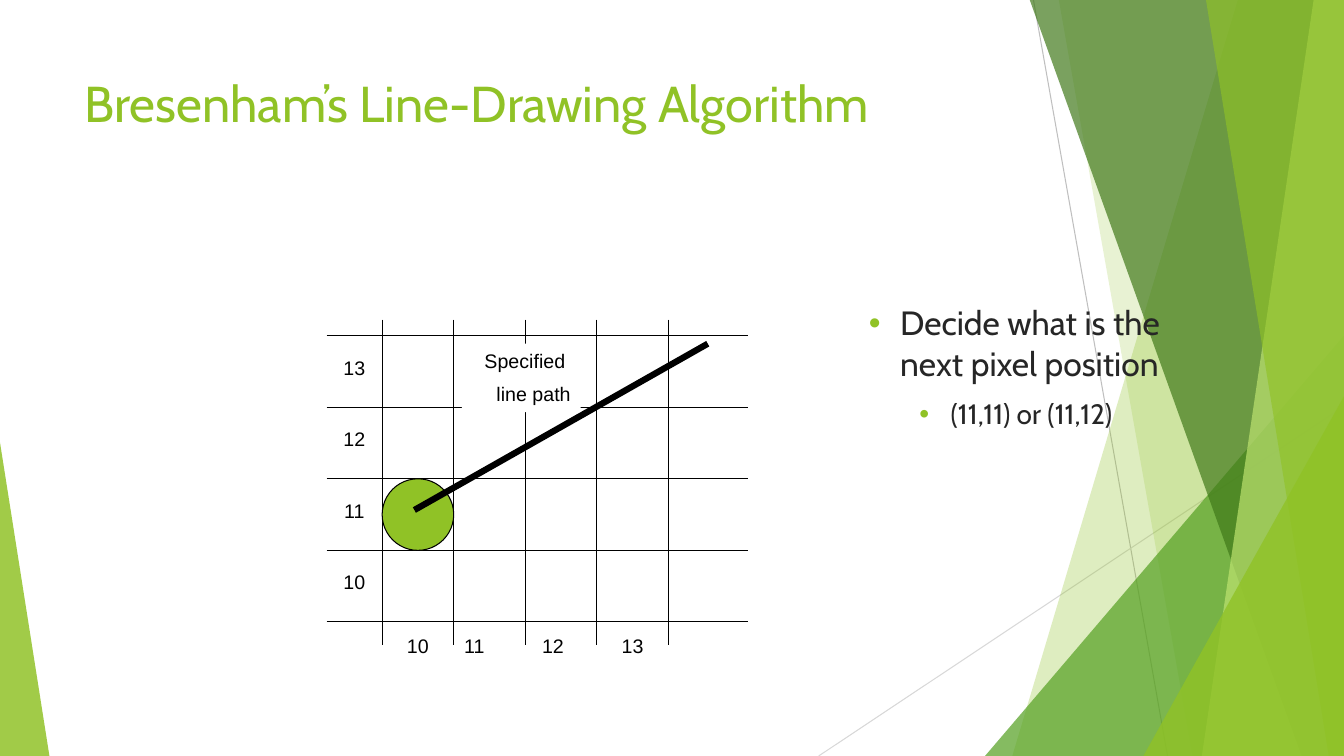
from lxml.etree import SubElement
from pptx import Presentation
from pptx.dml.color import RGBColor
from pptx.enum.shapes import MSO_CONNECTOR, MSO_SHAPE
from pptx.enum.text import MSO_ANCHOR, PP_ALIGN
from pptx.oxml.ns import qn
from pptx.util import Emu, Pt

PX = 9144  # EMU in one px: 100 px to the inch
SLIDE_WIDTH, SLIDE_HEIGHT = 1333, 750

WHITE = RGBColor(0xFF, 0xFF, 0xFF)
BLACK = RGBColor(0x00, 0x00, 0x00)
INK = RGBColor(0x26, 0x26, 0x26)
LIME = RGBColor(0x90, 0xC2, 0x26)
PALE_LIME = RGBColor(0xBF, 0xE4, 0x71)
GREEN = RGBColor(0x54, 0xA0, 0x21)
DARK_GREEN = RGBColor(0x3F, 0x78, 0x18)
GREY = RGBColor(0xBF, 0xBF, 0xBF)
LIGHT_GREY = RGBColor(0xD8, 0xD8, 0xD8)

CELL = 71
GRID_LEFT, GRID_TOP = 379, 333
GRID_LINES = 5
LABEL_HEIGHT = 33
COLUMN_LABELS = [("10", 379), ("11", 435), ("12", 513), ("13", 592)]
ROW_LABELS = ["13", "12", "11", "10"]


def px(*lengths):
    return [Emu(length * PX) for length in lengths]


def paint(shape, color, opacity=100, outline=None):
    """Give a shape a flat fill, with an outline only if a colour is named."""
    shape.shadow.inherit = False
    shape.fill.solid()
    shape.fill.fore_color.rgb = color
    if opacity < 100:
        color_element = shape.fill._xPr.find(qn("a:solidFill"))[0]
        SubElement(color_element, qn("a:alpha"), val=str(opacity * 1000))
    if outline is None:
        shape.line.fill.background()
    else:
        shape.line.color.rgb = outline
        shape.line.width = Pt(0.75)


def add_preset(page, kind, frame, color, **look):
    shape = page.shapes.add_shape(kind, *px(*frame))
    paint(shape, color, **look)
    return shape


def add_triangle(page, frame, apex, color, opacity):
    triangle = add_preset(page, MSO_SHAPE.ISOSCELES_TRIANGLE, frame, color,
                          opacity=opacity)
    triangle.adjustments[0] = apex


def add_band(page, top_left, bottom_left, color, opacity):
    """Draw a band that reaches from a slanted left edge to the slide's right."""
    builder = page.shapes.build_freeform(top_left, -1, scale=PX)
    builder.add_line_segments([(SLIDE_WIDTH, -1), (SLIDE_WIDTH, SLIDE_HEIGHT),
                               (bottom_left, SLIDE_HEIGHT)], close=True)
    paint(builder.convert_to_shape(), color, opacity)


def add_line(page, start, end, color=BLACK, width=0.75):
    line = page.shapes.add_connector(MSO_CONNECTOR.STRAIGHT, *px(*start, *end))
    line.line.color.rgb = color
    line.line.width = Pt(width)
    SubElement(line._element.spPr, qn("a:effectLst"))


def add_bullet(para, indent):
    properties = para._p.get_or_add_pPr()
    properties.set("marL", str(indent * PX))
    properties.set("indent", str(-31 * PX))
    color = SubElement(properties, qn("a:buClr"))
    SubElement(color, qn("a:srgbClr"), val=str(LIME))
    SubElement(properties, qn("a:buFont"), typeface="Arial")
    SubElement(properties, qn("a:buChar"), char="•")


def write(box, text, size=14, font="Arial", color=BLACK, align=PP_ALIGN.LEFT,
          before=0, level=0, bullet_indent=None):
    """Add one paragraph to a box, using its empty first one if there is one."""
    frame = box.text_frame
    frame.word_wrap = True
    frame.vertical_anchor = MSO_ANCHOR.TOP
    first = frame.paragraphs[0]
    para = frame.add_paragraph() if first.runs else first
    para.alignment = align
    para.level = level
    if bullet_indent is not None:
        add_bullet(para, bullet_indent)
    para.space_before = Pt(before)
    span = para.add_run()
    span.text = text
    span.font.size = Pt(size)
    span.font.name = font
    span.font.color.rgb = color


def add_text_box(page, frame):
    return page.shapes.add_textbox(*px(*frame))


def add_label(page, text, left, top):
    box = add_text_box(page, (left, top, CELL, LABEL_HEIGHT))
    write(box, text, align=PP_ALIGN.CENTER)


def draw_background(page):
    add_line(page, (1025, 0), (1158, 750), GREY)
    add_line(page, (1333, 403), (812, 750), LIGHT_GREY)
    add_band(page, 1228, 1004, LIME, 29)
    add_band(page, 1050, 1183, LIME, 20)
    add_triangle(page, (977, 333, 356, 417), 1, GREEN, 71)
    add_band(page, 1021, 1291, DARK_GREEN, 69)
    add_band(page, 1303, 1192, PALE_LIME, 69)
    add_band(page, 1196, 1318, LIME, 64)
    add_triangle(page, (1134, 393, 199, 357), 1, LIME, 80)
    add_triangle(page, (0, 439, 49, 311), 0, LIME, 84)


def draw_pixel_grid(page):
    for index in range(GRID_LINES):
        y = GRID_TOP + index * CELL
        add_line(page, (324, y), (742, y))
    for index in range(GRID_LINES):
        x = GRID_LEFT + index * CELL
        add_line(page, (x, 317), (x, 640))

    add_preset(page, MSO_SHAPE.OVAL,
               (GRID_LEFT, GRID_TOP + 2 * CELL, CELL, CELL), LIME, outline=BLACK)
    add_line(page, (411, 506), (702, 341), width=4.5)

    caption = add_preset(page, MSO_SHAPE.RECTANGLE, (458, 341, 118, 68), WHITE)
    write(caption, "Specified ", align=PP_ALIGN.RIGHT)
    write(caption, "line path", align=PP_ALIGN.RIGHT, before=7)

    for text, left in COLUMN_LABELS:
        add_label(page, text, left, 624)
    for index, text in enumerate(ROW_LABELS):
        add_label(page, text, 316, 348 + index * CELL)


def main():
    deck = Presentation()
    deck.slide_width, deck.slide_height = px(SLIDE_WIDTH, SLIDE_HEIGHT)
    page = deck.slides.add_slide(deck.slide_layouts[6])

    draw_background(page)
    title = add_text_box(page, (74, 67, 940, 144))
    write(title, "Bresenham’s Line-Drawing Algorithm", size=36, font="Cabin",
          color=LIME)
    points = add_text_box(page, (852, 295, 340, 455))
    write(points, "Decide what is the next pixel position", size=24,
          font="Cabin", color=INK, bullet_indent=31)
    write(points, "(11,11) or (11,12)", size=20, font="Cabin", color=INK,
          before=10, level=1, bullet_indent=81)
    draw_pixel_grid(page)

    deck.save("out.pptx")


if __name__ == "__main__":
    main()
